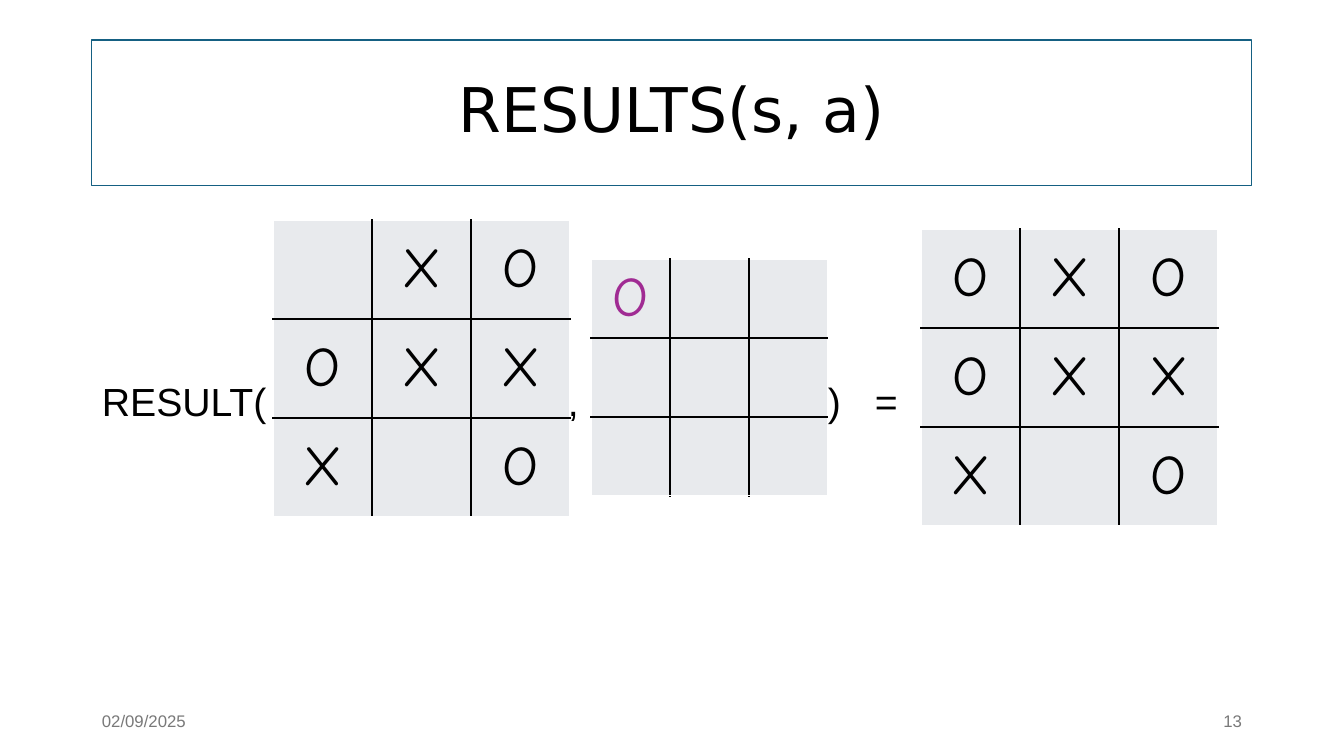
from lxml import etree
from pptx import Presentation
from pptx import util as u
from pptx.dml.color import RGBColor
from pptx.enum import shapes, text
from pptx.oxml.ns import qn

# Content
TITLE = "RESULTS(s, a)"
FORMULA = "RESULT(\t,\t)\t="
FORMULA_TABS = [466, 726, 773]
DATE, NUMBER = "02/09/2025", "13"
BLACK, WHITE, GREY = "000000", "FFFFFF", "797979"
BLUE, PURPLE, CELL = "156082", "A02B93", "E8EAED"

# Boards: left, top, cell size, mark colour, rows
BOARDS = [
    (273, 220, 99, BLACK, [" XO", "OXX", "X O"]),
    (591, 259, 79, PURPLE, ["O  ", "   ", "   "]),
    (921, 229, 99, BLACK, ["OXO", "OXX", "X O"]),
]

LEFT, CENTER, RIGHT = text.PP_ALIGN.LEFT, text.PP_ALIGN.CENTER, text.PP_ALIGN.RIGHT


def px(count):
    return u.Emu(round(count * 914400 / 100.8))


def color(value):
    return RGBColor.from_string(value)


def style(para, size, name, ink, align=LEFT):
    para.alignment = align
    para.font.size = u.Pt(size)
    para.font.name = name
    para.font.color.rgb = color(ink)


def add_text(page, place, words, size, align=LEFT, ink=BLACK, tabs=()):
    box = page.shapes.add_textbox(*map(px, place))
    frame = box.text_frame
    frame.word_wrap = True
    frame.margin_top = frame.margin_bottom = 0
    frame.vertical_anchor = text.MSO_ANCHOR.MIDDLE
    para = frame.paragraphs[0]
    para.text = words
    if tabs:
        stops = etree.SubElement(para._p.get_or_add_pPr(), qn("a:tabLst"))
        for stop in tabs:
            etree.SubElement(stops, qn("a:tab"), pos=str(px(stop)), algn="l")
    style(para, size, "Arial", ink, align)


def set_borders(cell, row, column):
    inner = {"L": column > 0, "R": column < 2, "T": row > 0, "B": row < 2}
    props = cell._tc.get_or_add_tcPr()
    for index, (side, is_inner) in enumerate(inner.items()):
        line = etree.Element(qn("a:ln" + side), w=str(u.Pt(1)))
        fill = etree.SubElement(line, qn("a:solidFill"))
        etree.SubElement(fill, qn("a:srgbClr"), val=BLACK if is_inner else WHITE)
        props.insert(index, line)


def add_board(page, left, top, size, ink, rows):
    place = map(px, (left, top, 3 * size, 3 * size))
    table = page.shapes.add_table(3, 3, *place).table
    table.first_row = table.horz_banding = False
    for index in range(3):
        table.columns[index].width = table.rows[index].height = px(size)
    for row, marks in enumerate(rows):
        for column, mark in enumerate(marks):
            cell = table.cell(row, column)
            cell.fill.solid()
            cell.fill.fore_color.rgb = color(CELL)
            set_borders(cell, row, column)
            if mark != " ":
                cell.vertical_anchor = text.MSO_ANCHOR.MIDDLE
                para = cell.text_frame.paragraphs[0]
                para.text = mark
                style(para, 40, "Comic Neue", ink, CENTER)


def main():
    deck = Presentation()
    deck.slide_width, deck.slide_height = px(1344), px(756)
    page = deck.slides.add_slide(deck.slide_layouts[6])

    # Framed title
    title = page.shapes.add_shape(
        shapes.MSO_SHAPE.RECTANGLE, *map(px, (92, 40, 1160, 146)))
    title.shadow.inherit = False
    title.fill.background()
    title.line.color.rgb = color(BLUE)
    title.line.width = u.Pt(0.75)
    title.text_frame.vertical_anchor = text.MSO_ANCHOR.MIDDLE
    para = title.text_frame.paragraphs[0]
    para.text = TITLE
    para.line_spacing = 0.9
    style(para, 44, "DejaVu Sans", BLACK, CENTER)

    # Formula with the three boards set into it
    add_text(page, (92, 378, 1160, 45), FORMULA, 28, tabs=FORMULA_TABS)
    for board in BOARDS:
        add_board(page, *board)

    # Footer
    add_text(page, (92, 701, 302, 40), DATE, 12, ink=GREY)
    add_text(page, (950, 701, 302, 40), NUMBER, 12, RIGHT, GREY)
    deck.save("out.pptx")


if __name__ == "__main__":
    main()
